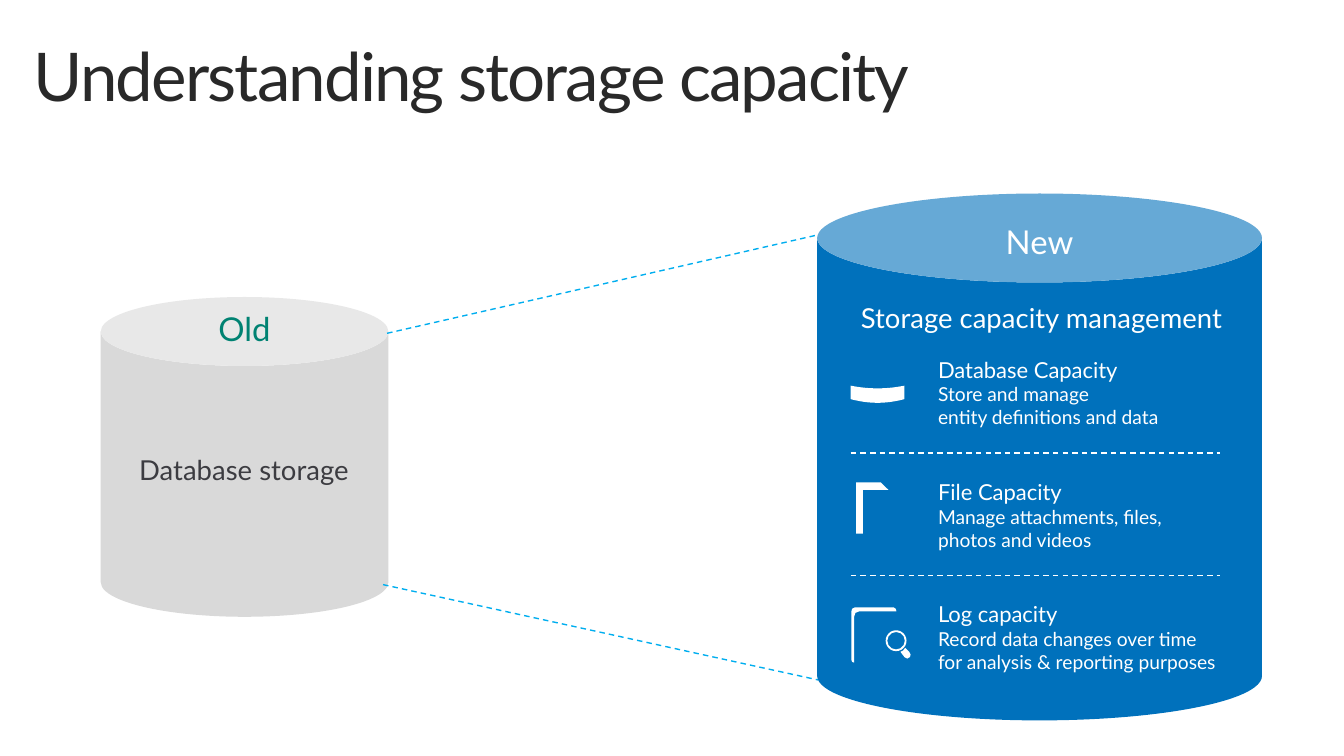
from dataclasses import dataclass

from pptx import Presentation
from pptx.dml.color import RGBColor
from pptx.enum.dml import MSO_LINE
from pptx.enum.shapes import MSO_CONNECTOR, MSO_SHAPE as SHAPE
from pptx.enum.text import MSO_ANCHOR as ANCHOR, MSO_AUTO_SIZE as AUTO, PP_ALIGN as ALIGN
from pptx.oxml.ns import qn
from pptx.util import Inches, Pt

# The page is a grid of square cells, 100 columns by 56.25 rows
CELL = 0.1
COLUMNS, ROWS = 100, 56.25
FONT = "Lato"
WHITE, BLUE, CYAN = "FFFFFF", "0071BC", "00AEEF"
STORES = [
    ("Database Capacity", ["Store and manage", "entity definitions and data"], 16.7),
    ("File Capacity", ["Manage attachments, files,", "photos and videos"], 17.4),
    ("Log capacity", ["Record data changes over time",
                      "for analysis & reporting purposes"], 21.3),
]


@dataclass
class Box:
    """A region measured in grid cells."""
    left: float
    top: float
    width: float
    height: float

    def inner(self, left, top, width, height):
        return Box(self.left + left, self.top + top, width, height)

    def point(self, column, row):
        return self.left + column, self.top + row

    def lengths(self):
        return [cells(n) for n in (self.left, self.top, self.width, self.height)]


def cells(count):
    return Inches(count * CELL)


def color(code):
    return RGBColor.from_string(code)


def paint(shape, fill):
    shape.shadow.inherit = False
    shape.fill.solid()
    shape.fill.fore_color.rgb = color(fill)
    shape.line.fill.background()


def add_preset(page, kind, box, fill, adjust):
    shape = page.shapes.add_shape(kind, *box.lengths())
    shape.adjustments[0] = adjust
    paint(shape, fill)


def add_outline(page, box, points, fill=WHITE):
    spots = [tuple(cells(n) for n in box.point(*point)) for point in points]
    builder = page.shapes.build_freeform(*spots[0])
    builder.add_line_segments(spots[1:], close=True)
    paint(builder.convert_to_shape(), fill)


def add_dashes(page, start, end, ink):
    line = page.shapes.add_connector(
        MSO_CONNECTOR.STRAIGHT, *[cells(n) for n in (*start, *end)])
    line.line.color.rgb = color(ink)
    line.line.width = Pt(0.75)
    line.line.dash_style = MSO_LINE.DASH
    properties = line.element.spPr
    properties.append(properties.makeelement(qn("a:effectLst"), {}))


def add_text(page, box, paragraphs, ink, spacing=0.9, para_format=None, **frame_format):
    """Each paragraph is a list of lines and a size in points."""
    frame = page.shapes.add_textbox(*box.lengths()).text_frame
    settings = {"margin_left": 0, "margin_right": 0, "margin_top": 0, "margin_bottom": 0,
                "word_wrap": True, "vertical_anchor": ANCHOR.MIDDLE, **frame_format}
    for name, value in settings.items():
        setattr(frame, name, value)
    for index, (lines, size) in enumerate(paragraphs):
        para = frame.add_paragraph() if index else frame.paragraphs[0]
        for name, value in {"line_spacing": spacing, **(para_format or {})}.items():
            setattr(para, name, value)
        for number, words in enumerate(lines):
            if number:
                para.add_line_break()
            span = para.add_run()
            span.text = words
            for name, value in {"name": FONT, "size": Pt(size)}.items():
                setattr(span.font, name, value)
            span.font.color.rgb = color(ink)
    return frame


def add_title(page, box):
    frame = add_text(page, box, [(["Understanding storage capacity"], 36)], "292929",
                     margin_top=Inches(0.05), margin_bottom=Inches(0.05))
    frame.paragraphs[0].runs[0].font._element.set("spc", "-100")


def add_can_label(page, box, words, ink, wrap):
    add_text(page, box, [([words], 17.6)], ink, word_wrap=wrap,
             vertical_anchor=ANCHOR.TOP, auto_size=AUTO.SHAPE_TO_FIT_TEXT,
             para_format={"alignment": ALIGN.CENTER, "space_after": Pt(4.4)})


def add_old_storage(page, box):
    add_preset(page, SHAPE.CAN, box, "D9D9D9", 0.24)
    add_text(page, box.inner(2.7, 11.4, 15.9, 3.2), [(["Database storage"], 14.7)],
             "3C3C41", para_format={"alignment": ALIGN.CENTER})
    add_can_label(page, box.inner(4.4, 1.2, 12.6, 2.7), "Old", "008272", True)


def add_database_icon(page, box):
    # A band whose upper and lower edges sag in the middle
    steps = [n / 12 for n in range(13)]
    upper = [(4 * s, 2.2 + 0.8 * s * (1 - s)) for s in steps]
    lower = [(4 * s, 3.2 + 1.1 * s * (1 - s)) for s in reversed(steps)]
    add_outline(page, box, upper + lower)


def add_file_icon(page, box):
    add_outline(page, box, [(0.4, 0.3), (2.25, 0.3), (2.8, 0.85),
                            (0.9, 0.85), (0.9, 4.1), (0.4, 4.1)])


def add_log_icon(page, box):
    # Corner of the back page, then the lens and its handle
    add_outline(page, box, [(3.4, 0.8), (3.35, 0.6), (3.2, 0.5), (0.3, 0.5), (0.1, 0.6),
                            (0.05, 0.8), (0.05, 4.4), (0.1, 4.55), (0.25, 4.6),
                            (0.25, 1.2), (0.35, 0.9), (0.6, 0.8)])
    add_preset(page, SHAPE.DONUT, box.inner(2.6, 2.2, 1.55, 1.55), WHITE, 0.08)
    add_outline(page, box, [(4.05, 3.5), (4.35, 3.8), (4.45, 4), (4.4, 4.2),
                            (4.2, 4.3), (4, 4.2), (3.7, 3.8), (3.9, 3.7)])


def add_store(page, box, heading, lines, width, draw_icon):
    draw_icon(page, box)
    add_text(page, box.inner(6.5, 0, width, box.height), [([heading], 11.8), (lines, 10.3)],
             WHITE, spacing=1.0, word_wrap=False, auto_size=AUTO.SHAPE_TO_FIT_TEXT)


def add_new_storage(page, box):
    add_preset(page, SHAPE.CAN, box, BLUE, 0.2)
    add_can_label(page, box.inner(14, 2.4, 5.1, 2.7), "New", WHITE, False)
    add_text(page, box.inner(2.5, 8.3, 28.4, 2.2),
             [(["Storage capacity management"], 14.7)], WHITE, word_wrap=False,
             auto_size=AUTO.SHAPE_TO_FIT_TEXT, para_format={"alignment": ALIGN.CENTER})
    icons = [add_database_icon, add_file_icon, add_log_icon]
    pitch = 9.1
    for index, (store, icon) in enumerate(zip(STORES, icons)):
        row = box.inner(2.5, 12.1 + index * pitch, 27.5, 5.4)
        add_store(page, row, *store, icon)
        if index < len(STORES) - 1:
            add_dashes(page, row.point(0, 7.2), row.point(row.width, 7.2), WHITE)


def add_expansion(page, old, new):
    # Dashed lines from the old can out to the new one
    add_dashes(page, old.point(21.3, 2.7), new.point(0.4, 3), CYAN)
    add_dashes(page, old.point(21, 21.4), new.point(0.1, 36.2), CYAN)


def main():
    deck = Presentation()
    deck.slide_width, deck.slide_height = cells(COLUMNS), cells(ROWS)
    page = deck.slides.add_slide(deck.slide_layouts[6])
    old, new = Box(7.5, 22.1, 21.4, 23.8), Box(60.8, 14.4, 33.1, 39.2)
    add_title(page, Box(2.5, 1.9, 95, 8))
    add_old_storage(page, old)
    add_expansion(page, old, new)
    add_new_storage(page, new)
    deck.save("out.pptx")


if __name__ == "__main__":
    main()
